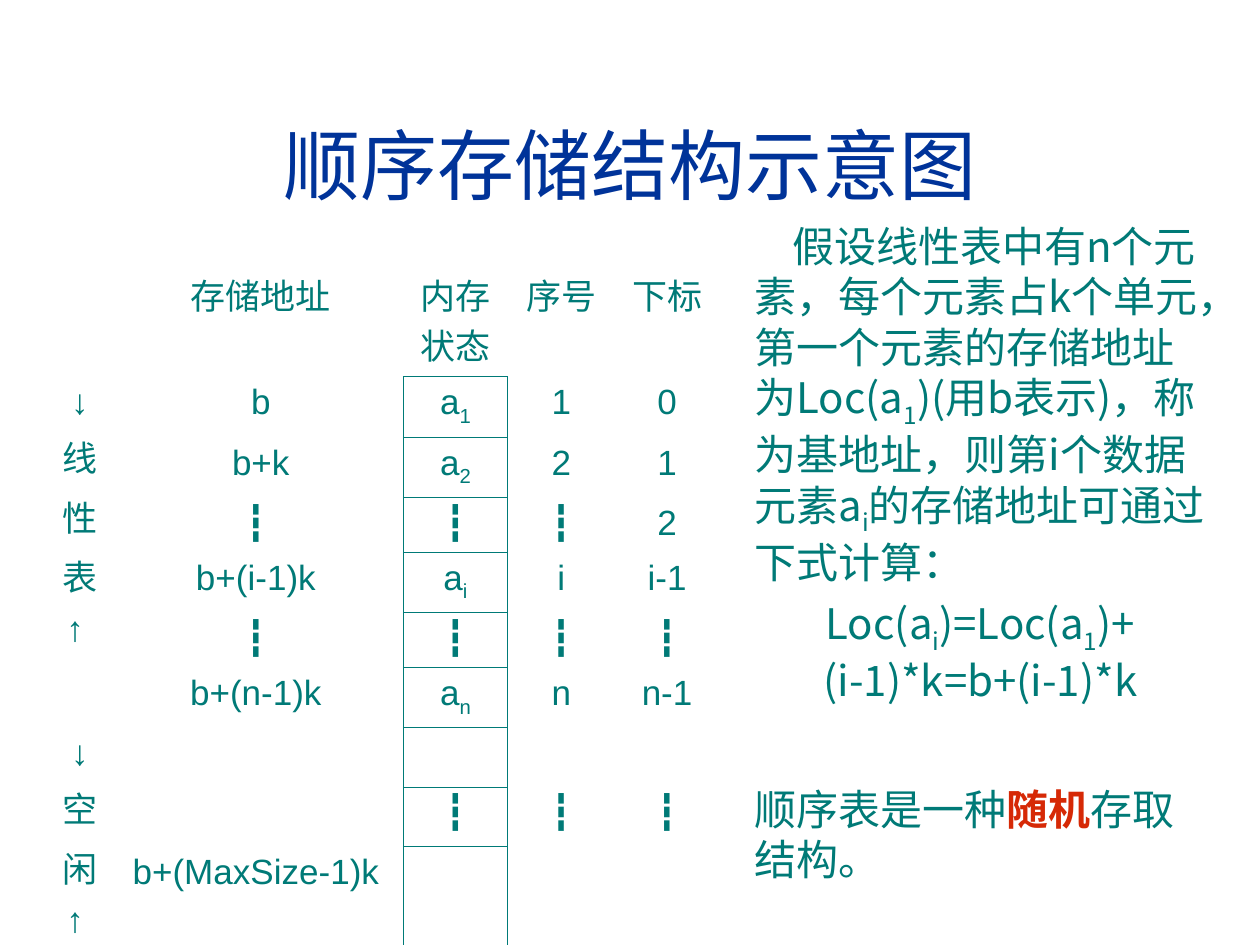
from lxml import etree
from pptx import Presentation
from pptx.dml.color import RGBColor
from pptx.enum.text import MSO_ANCHOR, PP_ALIGN
from pptx.oxml.ns import qn
from pptx.util import Inches, Pt

COLORS = {"title": "003399", "text": "007A77", "accent": "D62906"}
CJK_FONT = "Noto Sans CJK SC"
MARGIN, RIGHT_COLUMN = 0.33, 5.89


def write(frame, lines, size=20, font="Arial", color="text", align=PP_ALIGN.CENTER,
          gap=5, marked="subscript"):
    """Write one paragraph per line; parts in {braces} are subscript or accented."""
    for number, line in enumerate(lines):
        paragraph = frame.add_paragraph() if number else frame.paragraphs[0]
        paragraph.alignment = align
        paragraph.space_before = Pt(gap if number else 0)
        for part_number, part in enumerate(line.replace("}", "{").split("{")):
            if not part:
                continue
            special = part_number % 2 == 1
            accented = special and marked == "accent"
            run = paragraph.add_run()
            run.text = part
            run.font.size = Pt(size)
            run.font.name = font
            run.font.bold = accented
            run.font.color.rgb = RGBColor.from_string(COLORS["accent" if accented else color])
            properties = run._r.get_or_add_rPr()
            etree.SubElement(properties, qn("a:ea"), typeface=CJK_FONT)
            if special and not accented:
                properties.set("baseline", "-25000")


def add_text(left, top, width, height, lines, anchor=MSO_ANCHOR.TOP, **text_format):
    box = slide.shapes.add_textbox(*map(Inches, (left, top, width, height)))
    box.text_frame.word_wrap = True
    box.text_frame.vertical_anchor = anchor
    write(box.text_frame, lines, **text_format)
    return box.text_frame


deck = Presentation()
deck.slide_width, deck.slide_height = Inches(10), Inches(7.5)
slide = deck.slides.add_slide(deck.slide_layouts[6])

add_text(MARGIN, 0.67, 10 - 2 * MARGIN, 1.25, ["顺序存储结构示意图"],
         anchor=MSO_ANCHOR.MIDDLE, size=44, color="title")

# Memory layout: address, memory cell, ordinal, index
column_widths = [0.61, 2.26, 0.83, 0.85, 0.83]
row_heights = [0.91, 0.46, 0.46, 0.41, 0.46, 0.41, 0.46, 0.47, 0.47, 0.87]
memory_rows = [
    ["存储地址", "内存状态", "序号", "下标"],
    ["b", "a{1}", "1", "0"],
    ["b+k", "a{2}", "2", "1"],
    ["┇ ", "┇", "┇", "2"],
    ["b+(i-1)k ", "a{i}", "i", "i-1"],
    ["┇ ", "┇", "┇", "┇"],
    ["b+(n-1)k ", "a{n}", "n", "n-1"],
    ["", "", "", ""],
    ["", "┇", "┇", "┇"],
    ["b+(MaxSize-1)k ", "", "", ""],
]
row_groups = [(1, 6, ["↓", *"线性表", "↑ "]), (7, 9, ["↓", *"空闲", "↑ "])]
MEMORY_COLUMN = 2

table = slide.shapes.add_table(
    len(row_heights), len(column_widths), Inches(MARGIN), Inches(2.08),
    Inches(sum(column_widths)), Inches(sum(row_heights))).table
table.first_row = table.horz_banding = False
plain_style = "{2D5ABB26-0587-4C30-8999-92F81FD0307C}"
table._tbl.tblPr.find(qn("a:tableStyleId")).text = plain_style
for column, width in zip(table.columns, column_widths):
    column.width = Inches(width)
for row, height in zip(table.rows, row_heights):
    row.height = Inches(height)

for row_number, values in enumerate(memory_rows):
    for column_number, value in enumerate(["", *values]):
        cell = table.cell(row_number, column_number)
        cell.fill.background()
        if value:
            write(cell.text_frame, [value])
        if column_number == MEMORY_COLUMN:
            sides = ["L", "R", "T", "B"] if row_number else ["B"]
            for position, side in enumerate(sides):
                border = etree.Element(qn(f"a:ln{side}"), w=str(Pt(0.45)))
                fill = etree.SubElement(border, qn("a:solidFill"))
                etree.SubElement(fill, qn("a:srgbClr"), val=COLORS["text"])
                cell._tc.get_or_add_tcPr().insert(position, border)

for first_row, last_row, label in row_groups:
    group = table.cell(first_row, 0)
    group.merge(table.cell(last_row, 0))
    write(group.text_frame, label)

# Explanation beside the table
body_format = {"size": 24, "font": CJK_FONT, "align": PP_ALIGN.LEFT}
explanation = add_text(
    RIGHT_COLUMN, 1.7, 10 - MARGIN - RIGHT_COLUMN, 4.35,
    ["假设线性表中有n个元素，每个元素占k个单元，第一个元素的存储地址为Loc(a{1})"
     "(用b表示)，称为基地址，则第i个数据元素a{i}的存储地址可通过下式计算：",
     "Loc(a{i})=Loc(a{1})+(i-1)*k=b+(i-1)*k"],
    gap=6, **body_format)
definition, formula = explanation.paragraphs
definition._p.get_or_add_pPr().set("indent", str(Inches(0.3)))
formula.alignment = PP_ALIGN.CENTER

add_text(RIGHT_COLUMN, 6.17, 10 - MARGIN - RIGHT_COLUMN, 0.9,
         ["顺序表是一种{随机}存取结构。"], marked="accent", **body_format)

deck.save("out.pptx")
